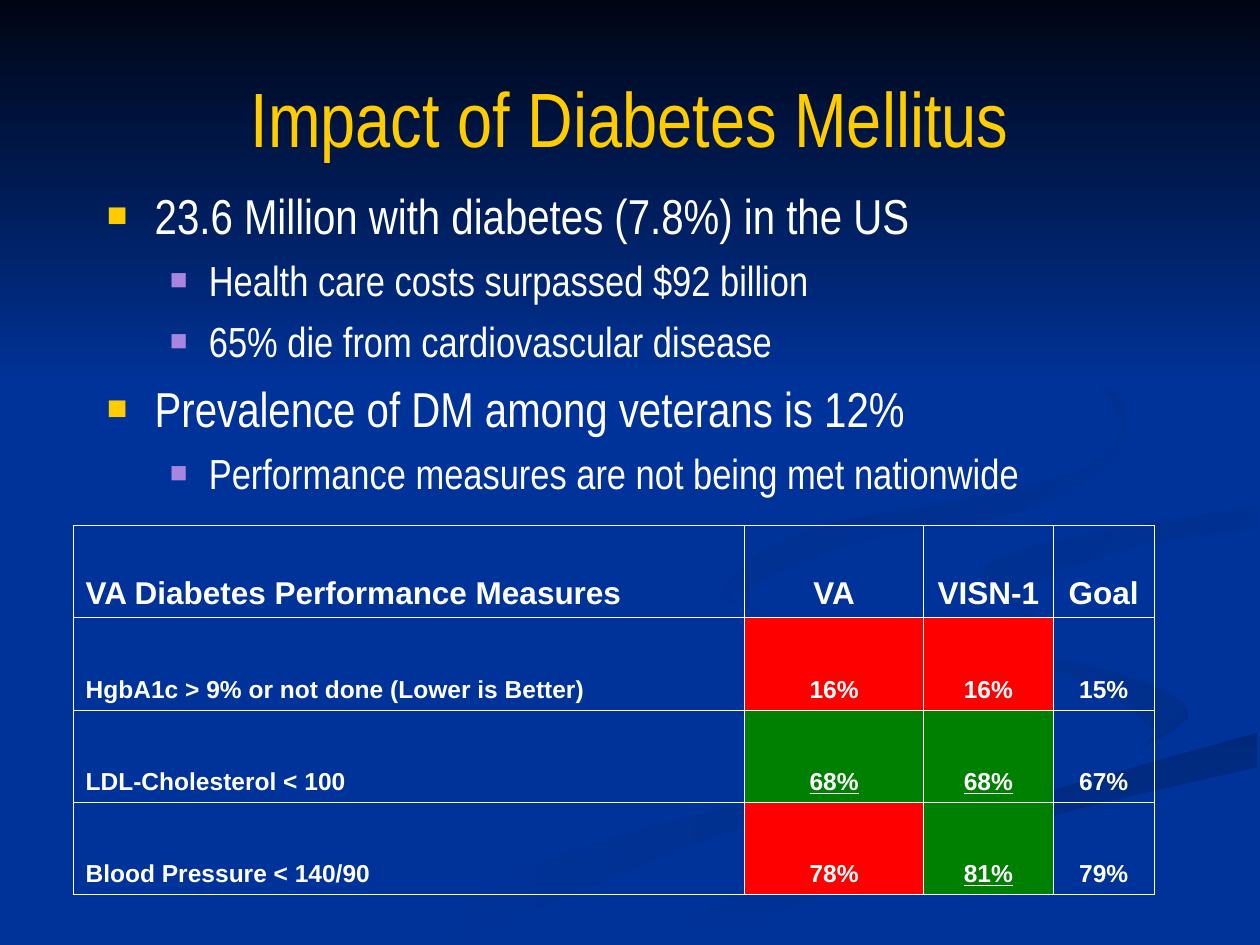
from dataclasses import dataclass

from lxml import etree
from pptx import Presentation
from pptx.dml.color import RGBColor
from pptx.enum.text import MSO_ANCHOR, PP_ALIGN
from pptx.oxml.ns import qn
from pptx.util import Inches, Pt

CENTER, LEFT = PP_ALIGN.CENTER, PP_ALIGN.LEFT
MIDDLE, TOP, BOTTOM = MSO_ANCHOR.MIDDLE, MSO_ANCHOR.TOP, MSO_ANCHOR.BOTTOM


@dataclass(frozen=True)
class Theme:
    """Colours, fonts and type sizes of the deck."""
    blue: str = "003399"
    shade: str = "002E8A"
    deep: str = "00297C"
    dusk: str = "002C85"
    night: str = "000514"
    gold: str = "FFCC00"
    violet: str = "A886E0"
    white: str = "FFFFFF"
    red: str = "FF0000"
    green: str = "008000"
    narrow: str = "Arial Narrow"
    sans: str = "Arial"
    title: int = 44
    levels: tuple = (28, 24)
    header: int = 18
    body: int = 14
    border: float = 0.45


T = Theme()
WIDTH, HEIGHT = Inches(10), Inches(7.5)
GRID = 1000
UNIT = WIDTH / GRID
STEPS = 5

RIBBONS = [
    (T.shade, T.blue, 180, [
        [(575, 459), (594, 485), (682, 519), (781, 553), (800, 581),
         (756, 614), (564, 665), (361, 749)],
        [(300, 749), (458, 674), (684, 613), (786, 566), (697, 525), (572, 476)]]),
    (T.shade, T.blue, 225, [
        [(724, 464), (758, 498), (905, 540), (943, 570), (894, 605)],
        [(918, 581), (868, 544), (746, 500)]]),
    (T.deep, T.blue, 90, [
        [(503, 749), (630, 693), (797, 638), (998, 581)],
        [(998, 609), (821, 651), (649, 710), (571, 749)]]),
    (T.blue, T.blue, 90, [
        [(477, 749), (619, 684), (843, 618), (943, 570), (905, 540),
         (759, 498), (725, 464), (770, 427), (999, 387)],
        [(999, 402), (822, 434), (784, 469), (848, 503), (999, 538)],
        [(999, 581), (797, 638), (630, 693), (503, 749)]]),
    (T.blue, T.dusk, 225, [
        [(998, 402), (821, 433), (781, 460), (826, 496)],
        [(809, 466), (896, 435), (998, 420)]]),
    (T.blue, T.dusk, 225, [
        [(762, 233), (864, 291), (894, 344), (825, 402), (683, 430),
         (593, 470), (622, 500)],
        [(577, 462), (637, 422), (842, 378), (889, 335), (846, 279)]]),
    (T.night, T.blue, 90, [[(0, 0), (GRID, 0)], [(GRID, 308), (0, 308)]]),
]

BULLETS = [
    (0, "23.6 Million with diabetes (7.8%) in the US"),
    (1, "Health care costs surpassed $92 billion"),
    (1, "65% die from cardiovascular disease"),
    (0, "Prevalence of DM among veterans is 12%"),
    (1, "Performance measures are not being met nationwide"),
]

COLUMNS = (533, 142, 103, 80)
ROW = 73.25
MEASURES = [
    ("VA Diabetes Performance Measures", "VA", "VISN-1", "Goal"),
    ("HgbA1c > 9% or not done (Lower is Better)", "16%", "16%", "15%"),
    ("LDL-Cholesterol < 100", "68%", "68%", "67%"),
    ("Blood Pressure < 140/90", "78%", "81%", "79%"),
]
MISSED = {(1, 1), (1, 2), (3, 1)}
MET = {(2, 1), (2, 2), (3, 2)}


def rgb(color):
    """Turn a hex string into a colour."""
    return RGBColor.from_string(color)


def grid(*units):
    """Turn grid units into lengths."""
    return [round(u * UNIT) for u in units]


def style(p, size, color, font, bold=False, underline=False):
    """Format every run of a paragraph."""
    for r in p.runs:
        r.font.size, r.font.name = Pt(size), font
        r.font.bold, r.font.underline = bold, underline
        r.font.color.rgb = rgb(color)


def spline(a, b, c, d, t):
    """Find the Catmull-Rom value between b and c."""
    return b + t / 2 * (c - a + t * (2 * a - 5 * b + 4 * c - d
                                     + t * (3 * (b - c) + d - a)))


def smooth(edge):
    """Run a curve through the points of one edge."""
    ends = [edge[0], *edge, edge[-1]]
    curve = [tuple(spline(*axis, k / STEPS) for axis in zip(*ends[i:i + 4]))
             for i in range(len(edge) - 1) for k in range(STEPS)]
    return curve + [edge[-1]]


def add_ribbon(s, start, end, angle, edges):
    """Draw a closed outline with a clockwise-angled gradient."""
    points = [point for edge in edges for point in smooth(edge)]
    builder = s.shapes.build_freeform(*points[0], scale=UNIT)
    builder.add_line_segments(points[1:], close=True)
    sp = builder.convert_to_shape()
    sp.shadow.inherit = False
    sp.line.fill.background()
    sp.fill.gradient()
    sp.fill.gradient_angle = (360 - angle) % 360
    for stop, color in zip(sp.fill.gradient_stops, (start, end)):
        stop.color.rgb = rgb(color)


def add_text(s, box, anchor):
    """Add a wrapping text box and return its frame."""
    tf = s.shapes.add_textbox(*grid(*box)).text_frame
    tf.word_wrap, tf.vertical_anchor = True, anchor
    return tf


def add_bullet(p, level):
    """Give a paragraph the square bullet of its level."""
    margin, hang, color = ((0.38, 0.38, T.gold), (0.81, 0.31, T.violet))[level]
    pPr = p._p.get_or_add_pPr()
    pPr.set("marL", str(Inches(margin)))
    pPr.set("indent", str(-Inches(hang)))
    clr = etree.SubElement(pPr, qn("a:buClr"))
    etree.SubElement(clr, qn("a:srgbClr"), val=color)
    etree.SubElement(pPr, qn("a:buSzPct"), val="70000")
    etree.SubElement(pPr, qn("a:buFont"), typeface=T.sans)
    etree.SubElement(pPr, qn("a:buChar"), char="■")


def add_bullets(s, box, items):
    """Add the two-level bullet list."""
    tf = add_text(s, box, TOP)
    for i, (level, text) in enumerate(items):
        p = tf.paragraphs[0] if i == 0 else tf.add_paragraph()
        p.text, p.level = text, level
        add_bullet(p, level)
        if i:
            p.space_before = Pt(7 - level)
        style(p, T.levels[level], T.white, T.narrow)


def fill_cell(cell, pos):
    """Colour a cell by its result, with a half-clear header."""
    if pos[0] and pos not in MISSED | MET:
        cell.fill.background()
        return
    cell.fill.solid()
    color = T.red if pos in MISSED else T.green if pos in MET else T.blue
    cell.fill.fore_color.rgb = rgb(color)
    if pos[0] == 0:
        clr = cell._tc.tcPr.find(".//" + qn("a:srgbClr"))
        etree.SubElement(clr, qn("a:alpha"), val="50000")


def add_borders(cell):
    """Rule all four sides of a cell."""
    tcPr = cell._tc.get_or_add_tcPr()
    for i, side in enumerate("LRTB"):
        ln = etree.Element(qn(f"a:ln{side}"), w=str(Pt(T.border)))
        fill = etree.SubElement(ln, qn("a:solidFill"))
        etree.SubElement(fill, qn("a:srgbClr"), val=T.white)
        tcPr.insert(i, ln)


def add_measures(s, left, top):
    """Add the table of performance measures."""
    box = grid(left, top, sum(COLUMNS), ROW * len(MEASURES))
    table = s.shapes.add_table(len(MEASURES), len(COLUMNS), *box).table
    table.first_row = table.horz_banding = False
    for column, width in zip(table.columns, grid(*COLUMNS)):
        column.width = width
    for i, row in enumerate(MEASURES):
        for j, text in enumerate(row):
            cell = table.cell(i, j)
            cell.text_frame.text = text
            cell.vertical_anchor = BOTTOM
            p = cell.text_frame.paragraphs[0]
            p.alignment = CENTER if j else LEFT
            style(p, T.body if i else T.header, T.white, T.sans, True, (i, j) in MET)
            fill_cell(cell, (i, j))
            add_borders(cell)


def main():
    """Build and save the slide."""
    prs = Presentation()
    prs.slide_width, prs.slide_height = WIDTH, HEIGHT
    s = prs.slides.add_slide(prs.slide_layouts[6])
    s.background.fill.solid()
    s.background.fill.fore_color.rgb = rgb(T.blue)
    for ribbon in RIBBONS:
        add_ribbon(s, *ribbon)
    tf = add_text(s, (50, 30, 900, 125), MIDDLE)
    tf.text = "Impact of Diabetes Mellitus"
    tf.paragraphs[0].alignment = CENTER
    style(tf.paragraphs[0], T.title, T.gold, T.narrow)
    add_bullets(s, (75, 142, 867, 358), BULLETS)
    add_measures(s, 58, 417)
    prs.save("out.pptx")


if __name__ == "__main__":
    main()
